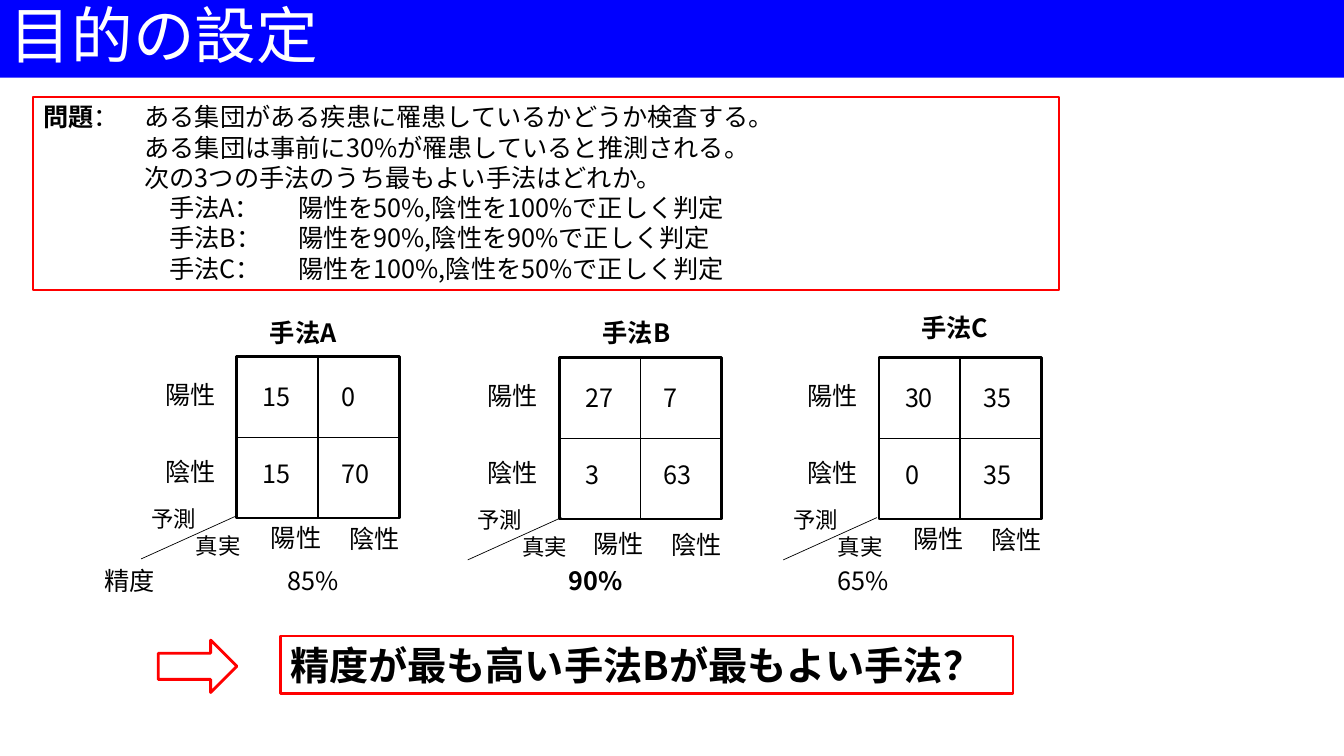
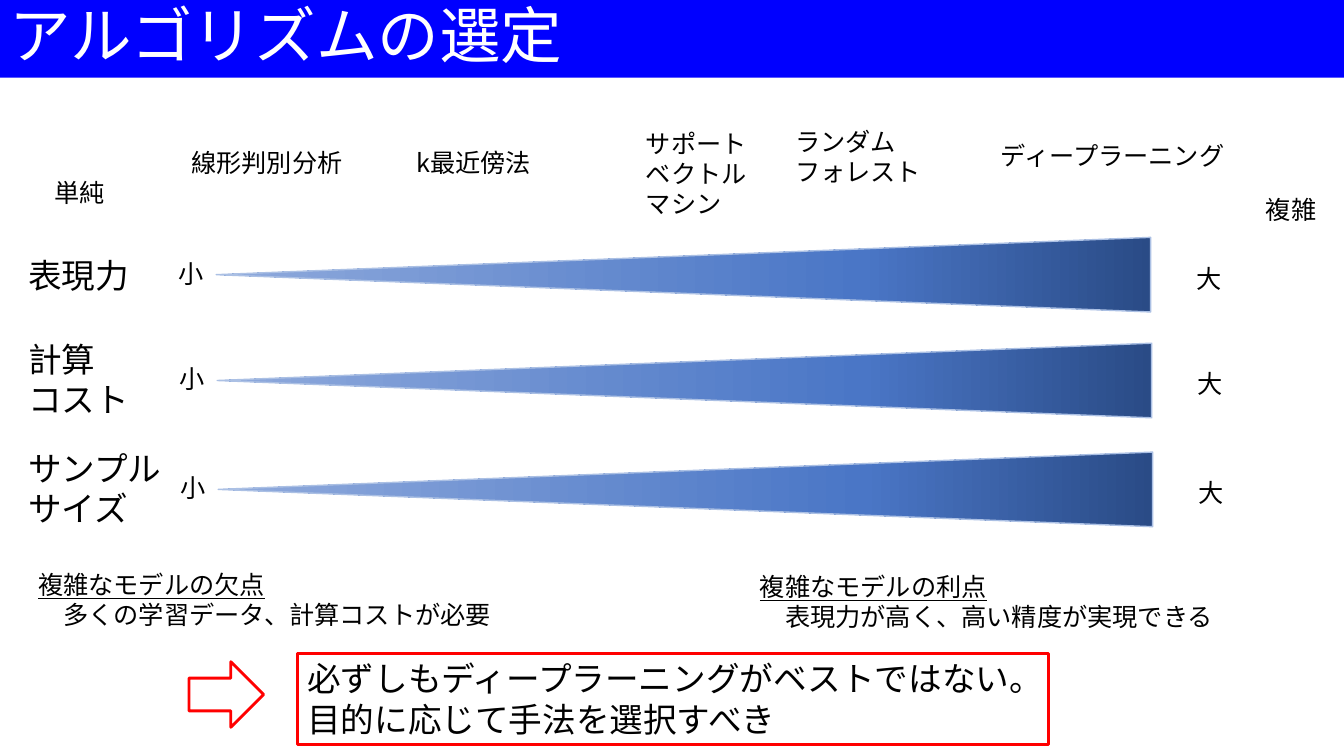
from pptx import Presentation
from pptx.dml.color import RGBColor
from pptx.enum.shapes import MSO_CONNECTOR, MSO_SHAPE
from pptx.enum.text import MSO_ANCHOR, PP_ALIGN
from pptx.oxml.ns import qn
from pptx.util import Inches, Pt
from lxml.etree import SubElement
from copy import deepcopy

UNIT = Inches(0.1)
COLS, ROWS = 133.33, 75
FACE = "Noto Sans CJK JP"
HUES = {
    "band": "0000FF", "white": "FFFFFF", "ink": "000000", "red": "FF0000",
    "dark": "2A4B86", "mid": "4A76C6", "pale": "8FAADC", "edge": "ABC0E4",
}
FADE = [(0, "dark"), (0.31, "mid"), (1, "pale")]
FRAME = {"word_wrap": True, "vertical_anchor": MSO_ANCHOR.TOP}
BOLD = {"bold": True}
UNDER = {"underline": True}


def hue(name):
    return RGBColor.from_string(HUES[name])


def span(*cells):
    return [round(UNIT * cell) for cell in cells]


def apply(item, values):
    for key, value in values.items():
        setattr(item, key, value)


def write(frame, lines, size=18, color="ink", tabs=(), pads=(), **extra):
    apply(frame, FRAME)
    if isinstance(lines, str):
        lines = lines.split("\n")
    for row, line in enumerate(lines):
        para = frame.paragraphs[0] if row == 0 else frame.add_paragraph()
        para.alignment = PP_ALIGN.LEFT
        props = para._p.get_or_add_pPr()
        if row < len(pads):
            props.set("marL", str(span(pads[row])[0]))
        if tabs:
            stops = SubElement(props, qn("a:tabLst"))
            for stop in span(*tabs):
                SubElement(stops, qn("a:tab"), pos=str(stop), algn="l")
        for text, look in [(line, {})] if isinstance(line, str) else line:
            run = para.add_run()
            run.text = text
            apply(run.font, {"name": FACE, "size": Pt(size), **extra, **look})
            run.font.color.rgb = hue(color)
            SubElement(run._r.get_or_add_rPr(), qn("a:ea"), typeface=FACE)


def label(slide, at, lines, **look):
    write(slide.shapes.add_textbox(*span(*at)).text_frame, lines, **look)


def stroke(item, color, width):
    item.line.color.rgb = hue(color)
    item.line.width = Pt(width)


def shape(slide, kind, at, color="red", width=2):
    item = slide.shapes.add_shape(kind, *span(*at))
    item.shadow.inherit = False
    item.fill.background()
    stroke(item, color, width)
    return item


def panel(slide, at, lines, width=2, **look):
    box = shape(slide, MSO_SHAPE.RECTANGLE, at, width=width)
    write(box.text_frame, lines, **look)


def rule(slide, ends, width, box=None, sides=()):
    line = slide.shapes.add_connector(MSO_CONNECTOR.STRAIGHT, *span(*ends))
    if box is not None:
        line.begin_connect(box, sides[0])
        line.end_connect(box, sides[1])
    stroke(line, "ink", width)
    SubElement(line._element.spPr, qn("a:effectLst"))


def wedge(slide, x, y, wide, high):
    left, top = x + (wide - high) / 2, y + (high - wide) / 2
    item = shape(slide, MSO_SHAPE.ISOSCELES_TRIANGLE, (left, top, high, wide), "edge", 1)
    item.rotation = 270
    item.fill.gradient()
    item.fill.gradient_angle = 90
    stops = item._element.spPr.find(qn("a:gradFill")).find(qn("a:gsLst"))
    stops.append(deepcopy(stops[0]))
    for stop, (place, name) in zip(item.fill.gradient_stops, FADE):
        stop.position = place
        stop.color.rgb = hue(name)


def start(deck, title):
    slide = deck.slides.add_slide(deck.slide_layouts[6])
    band = shape(slide, MSO_SHAPE.RECTANGLE, (0, 0, COLS, 7.7))
    band.fill.solid()
    band.fill.fore_color.rgb = hue("band")
    band.line.fill.background()
    write(band.text_frame, title, size=44, color="white")
    band.text_frame.vertical_anchor = MSO_ANCHOR.MIDDLE
    band.text_frame.paragraphs[0].line_spacing = 0.9
    return slide


def matrix(slide, name, x, y, cells, head, foot, slant):
    wide, high, step = 16.1, 16, 7.75
    box = shape(slide, MSO_SHAPE.RECTANGLE, (x, y, wide, high), "ink")
    for sides in ((1, 3), (0, 2)):
        rule(slide, (x, y, x, y), 1.25, box, sides)
    label(slide, (x + head[0], head[1], 9.5, 4), name, bold=True)
    for i, sign in enumerate(("陽性", "陰性")):
        label(slide, (x - 8.1, y + 1.7 + i * 7.65, 7.3, 4), sign)
        label(slide, (x + 2.4 + i * step, foot + i * 0.1, 7.3, 4), sign)
        for j, count in enumerate(cells[i]):
            spot = (x + 1.6 + j * step, y + 1.9 + i * 7.7, 4.9, 4)
            label(slide, spot, str(count))
    left, top = x - slant, y + 14.25
    label(slide, (left, top, 14.4, 6.4), "予測\n真実", size=16, pads=(0, 4.45))
    rule(slide, (left, top + 5.8, left + 9.3, top + 1.6), 0.5)


def goal(deck):
    slide = start(deck, "目的の設定")
    panel(slide, (3.3, 9.6, 101.8, 19.2), [
        [("問題", BOLD), ("：\tある集団がある疾患に罹患しているかどうか検査する。", {})],
        "\tある集団は事前に30%が罹患していると推測される。",
        "\t次の3つの手法のうち最もよい手法はどれか。",
        "\t\t手法A：\t陽性を50%,陰性を100%で正しく判定",
        "\t\t手法B：\t陽性を90%,陰性を90%で正しく判定",
        "\t\t手法C：\t陽性を100%,陰性を50%で正しく判定",
    ], width=1.5, tabs=(10.05, 12.5, 25.3))
    for name, x, y, cells, head, foot, slant in (
        ("手法A", 23.5, 35.4, ((15, 0), (15, 70)), (2.3, 31), 51.3, 9.5),
        ("手法B", 55.5, 35.5, ((27, 7), (3, 63)), (3.3, 31), 51.9, 9.1),
        ("手法C", 87.2, 35.5, ((30, 35), (0, 35)), (3.2, 30.5), 51.4, 9.5),
    ):
        matrix(slide, name, x, y, cells, head, foot, slant)
    label(slide, (9.4, 55.6, 101.8, 4),
          [[("精度\t85%\t", {}), ("90%", BOLD), ("\t65%", {})]],
          tabs=(18.1, 46, 72.7))
    shape(slide, MSO_SHAPE.RIGHT_ARROW, (15.7, 63.5, 7.8, 5.2))
    panel(slide, (27.8, 63.1, 72.7, 5.7),
          "精度が最も高い手法Bが最もよい手法？", size=28, bold=True)


def choice(deck):
    slide = start(deck, "アルゴリズムの選定")
    for x, y, wide, high, text in (
        (18, 14.1, 26.4, 4, "線形判別分析"),
        (40.3, 14.1, 26.4, 4, "k最近傍法"),
        (63.1, 12.2, 16.1, 10.1, "サポート\nベクトル\nマシン"),
        (77.9, 12, 16.1, 7.1, "ランダム\nフォレスト"),
        (98.3, 13.4, 26.4, 4, "ディープラーニング"),
        (4.4, 17.1, 8.6, 4, "単純"),
        (124.6, 18.8, 8.6, 4, "複雑"),
    ):
        label(slide, (x, y, wide, high), text)
    for i, (text, y, top, high) in enumerate((
        ("表現力", 23.55, 24.8, 5),
        ("計算\nコスト", 34.05, 33.1, 9.1),
        ("サンプル\nサイズ", 44.85, 43.9, 9.1),
    )):
        shift = i * 0.1
        label(slide, (1.8, top, 16, high), text, size=24)
        wedge(slide, 21.45 + shift, y, 92.7, 7.4)
        label(slide, (16.7 + shift, y + 1.55, 4.8, 4), "小")
        label(slide, (117.7 + shift, y + 2.05, 4.8, 4), "大")
    for x, y, wide, head, text in (
        (2.8, 56, 60, "複雑なモデルの欠点", "多くの学習データ、計算コストが必要"),
        (74.4, 56.2, 48.2, "複雑なモデルの利点", "表現力が高く、高い精度が実現できる"),
    ):
        label(slide, (x, y, wide, 7.1), [[(head, UNDER)], text], pads=(0, 2.5))
    shape(slide, MSO_SHAPE.RIGHT_ARROW, (18.75, 65.65, 7.4, 6.5))
    panel(slide, (29.5, 64.8, 74.5, 9.1),
          "必ずしもディープラーニングがベストではない。\n目的に応じて手法を選択すべき", size=24)


def main():
    deck = Presentation()
    deck.slide_width, deck.slide_height = span(COLS, ROWS)
    goal(deck)
    choice(deck)
    deck.save("out.pptx")


if __name__ == "__main__":
    main()
